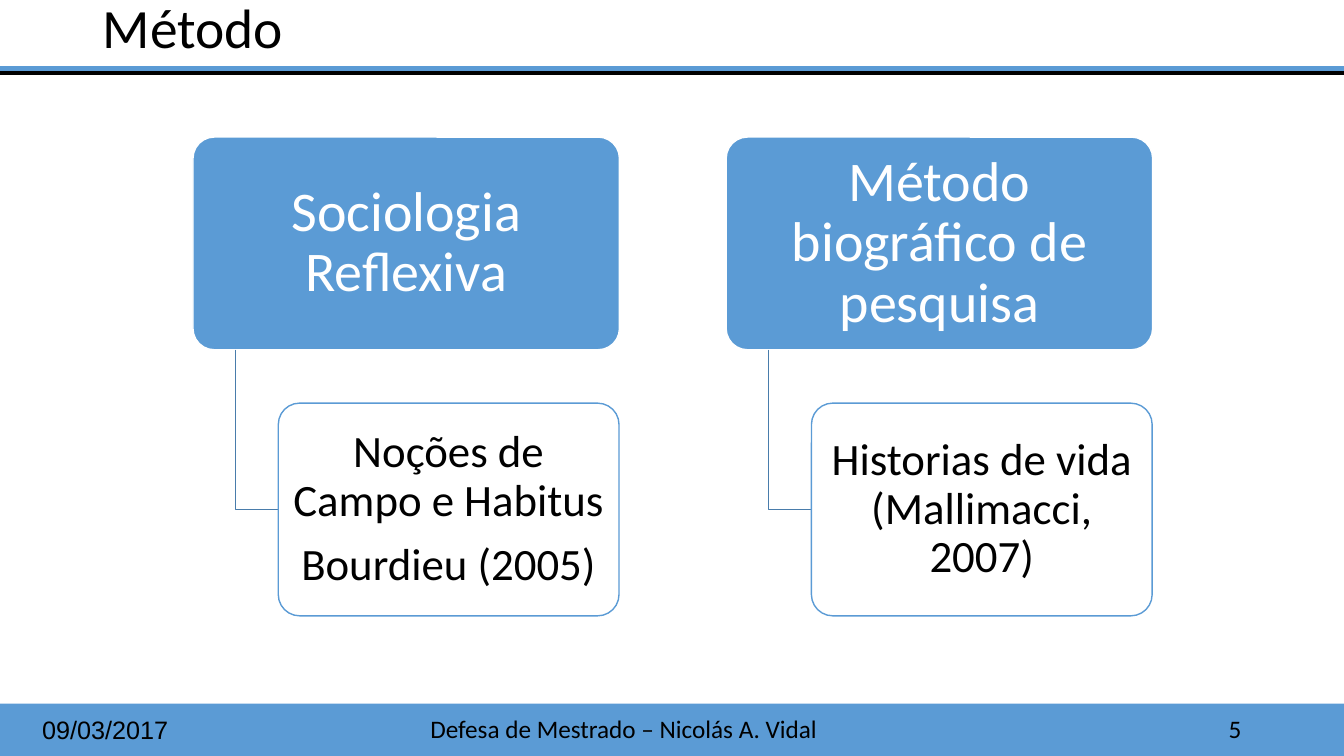
"""Build the method slide: two topics, each leading to a detail card."""
from dataclasses import dataclass

from lxml.etree import SubElement
from pptx import Presentation
from pptx.dml.color import RGBColor
from pptx.enum.shapes import MSO_CONNECTOR, MSO_SHAPE
from pptx.enum.text import MSO_ANCHOR, PP_ALIGN
from pptx.oxml.ns import qn
from pptx.util import Inches, Pt

BLUE, STEM_BLUE, BLACK, WHITE = "5B9BD5", "497CAB", "000000", "FFFFFF"
CARD_HEIGHT = 28.13
TOPIC_TOP, TOPIC_WIDTH = 18.13, 31.73
DETAIL_TOP, DETAIL_WIDTH = 53.33, 25.35
FIRST_BRANCH, BRANCH_PITCH = 14.36, 39.67


@dataclass(frozen=True)
class Area:
    """A rectangle in percent of the slide's width and height."""
    left: float
    top: float
    width: float
    height: float


@dataclass(frozen=True)
class Label:
    """A plain text box."""
    text: str
    area: Area
    size: float
    font: str = "Calibri"
    anchor: MSO_ANCHOR = MSO_ANCHOR.TOP


@dataclass(frozen=True)
class CardStyle:
    """The look of one kind of card."""
    fill: str
    opacity: int
    line: str
    ink: str
    size: int
    inset: float


@dataclass(frozen=True)
class Branch:
    """A topic and the paragraphs of its detail card."""
    topic: str
    details: tuple[str, ...]


TOPIC = CardStyle(BLUE, 100, WHITE, WHITE, 40, 0.08)
DETAIL = CardStyle(WHITE, 90, BLUE, BLACK, 32, 0.06)
LABELS = (
    Label("Método", Area(6.9, 0, 86.25, 8.13), 39.6, anchor=MSO_ANCHOR.MIDDLE),
    Label("09/03/2017", Area(2.4, 93.87, 19.05, 5.33), 18, "Arial"),
    Label("Defesa de Mestrado – Nicolás A. Vidal", Area(31.28, 93.73, 37.43, 5.33), 18),
    Label("5", Area(90.68, 93.73, 9.3, 5.33), 18),
)
BRANCHES = (
    Branch("Sociologia Reflexiva", ("Noções de Campo e Habitus", "Bourdieu (2005)")),
    Branch("Método biográfico de pesquisa", ("Historias de vida (Mallimacci, 2007)",)),
)

deck = Presentation()
deck.slide_width, deck.slide_height = Inches(13.33), Inches(7.5)
page = deck.slides.add_slide(deck.slide_layouts[6])


def across(percent: float) -> int:
    """Convert a share of the slide's width to a length."""
    return round(deck.slide_width * percent / 100)


def down(percent: float) -> int:
    """Convert a share of the slide's height to a length."""
    return round(deck.slide_height * percent / 100)


def place(area: Area) -> tuple[int, int, int, int]:
    """Convert an area to left, top, width and height."""
    return across(area.left), down(area.top), across(area.width), down(area.height)


def color(code: str) -> RGBColor:
    """Convert a hex string to a colour."""
    return RGBColor.from_string(code)


def assign(target: object, values: dict) -> None:
    """Set every format value on the target."""
    for name, value in values.items():
        setattr(target, name, value)


def write(box, lines: tuple[str, ...], size: float, ink: str, font: str,
          frame_format: dict, para_format: dict) -> None:
    """Fill a box with one paragraph per line."""
    frame = box.text_frame
    assign(frame, {"word_wrap": True, **frame_format})
    for index, line in enumerate(lines):
        para = frame.add_paragraph() if index else frame.paragraphs[0]
        assign(para, para_format)
        if index:
            para.space_before = Pt(round(size * 0.35))
        span = para.add_run()
        span.text = line
        assign(span.font, {"size": Pt(size), "name": font})
        span.font.color.rgb = color(ink)


def draw_label(label: Label) -> None:
    """Draw one plain text box."""
    box = page.shapes.add_textbox(*place(label.area))
    write(box, (label.text,), label.size, BLACK, label.font,
          {"vertical_anchor": label.anchor}, {"line_spacing": 0.9 if label.size > 18 else 1.0})


def draw_rule(height: float, ink: str) -> None:
    """Draw a line across the whole slide."""
    rule = page.shapes.add_connector(
        MSO_CONNECTOR.STRAIGHT, 0, down(height), deck.slide_width, down(height))
    rule.line.color.rgb = color(ink)
    rule.line.width = Pt(3)
    SubElement(rule._element.spPr, qn("a:effectLst"))


def draw_footer_band() -> None:
    """Draw the band along the bottom edge."""
    band = page.shapes.add_shape(MSO_SHAPE.RECTANGLE, *place(Area(0, 93.07, 100, 6.93)))
    band.shadow.inherit = False
    band.fill.solid()
    band.fill.fore_color.rgb = color(BLUE)
    band.line.fill.background()


def draw_card(area: Area, lines: tuple[str, ...], style: CardStyle) -> None:
    """Draw a rounded card with centred text."""
    card = page.shapes.add_shape(MSO_SHAPE.ROUNDED_RECTANGLE, *place(area))
    card.adjustments[0] = 0.1
    card.shadow.inherit = False
    card.fill.solid()
    card.fill.fore_color.rgb = color(style.fill)
    if style.opacity < 100:
        tint = card._element.spPr.find(qn("a:solidFill")).find(qn("a:srgbClr"))
        SubElement(tint, qn("a:alpha"), val=str(style.opacity * 1000))
    card.line.color.rgb = color(style.line)
    card.line.width = Pt(1)
    sides = ("margin_left", "margin_right", "margin_top", "margin_bottom")
    write(card, lines, style.size, style.ink, "Calibri",
          {"vertical_anchor": MSO_ANCHOR.MIDDLE, **dict.fromkeys(sides, Inches(style.inset))},
          {"alignment": PP_ALIGN.CENTER, "line_spacing": 0.9})


def draw_stem(left: float, right: float) -> None:
    """Draw the elbow from a topic card to its detail card."""
    start, middle = down(TOPIC_TOP + CARD_HEIGHT), down(DETAIL_TOP + CARD_HEIGHT / 2)
    outline = page.shapes.build_freeform(across(left), start)
    outline.add_line_segments(
        [(across(left), middle), (across(right), middle)], close=False)
    stem = outline.convert_to_shape()
    stem.shadow.inherit = False
    stem.fill.background()
    stem.line.color.rgb = color(STEM_BLUE)
    stem.line.width = Pt(1)


def draw_branch(left: float, branch: Branch) -> None:
    """Draw a topic, its stem and its detail card."""
    detail_left = left + TOPIC_WIDTH * 0.2
    draw_card(Area(left, TOPIC_TOP, TOPIC_WIDTH, CARD_HEIGHT), (branch.topic,), TOPIC)
    draw_stem(left + TOPIC_WIDTH * 0.1, detail_left)
    draw_card(Area(detail_left, DETAIL_TOP, DETAIL_WIDTH, CARD_HEIGHT), branch.details, DETAIL)


draw_rule(9.6, BLACK)
draw_footer_band()
draw_rule(9.07, BLUE)
for label in LABELS:
    draw_label(label)
for column, branch in enumerate(BRANCHES):
    draw_branch(FIRST_BRANCH + column * BRANCH_PITCH, branch)

deck.save("out.pptx")
